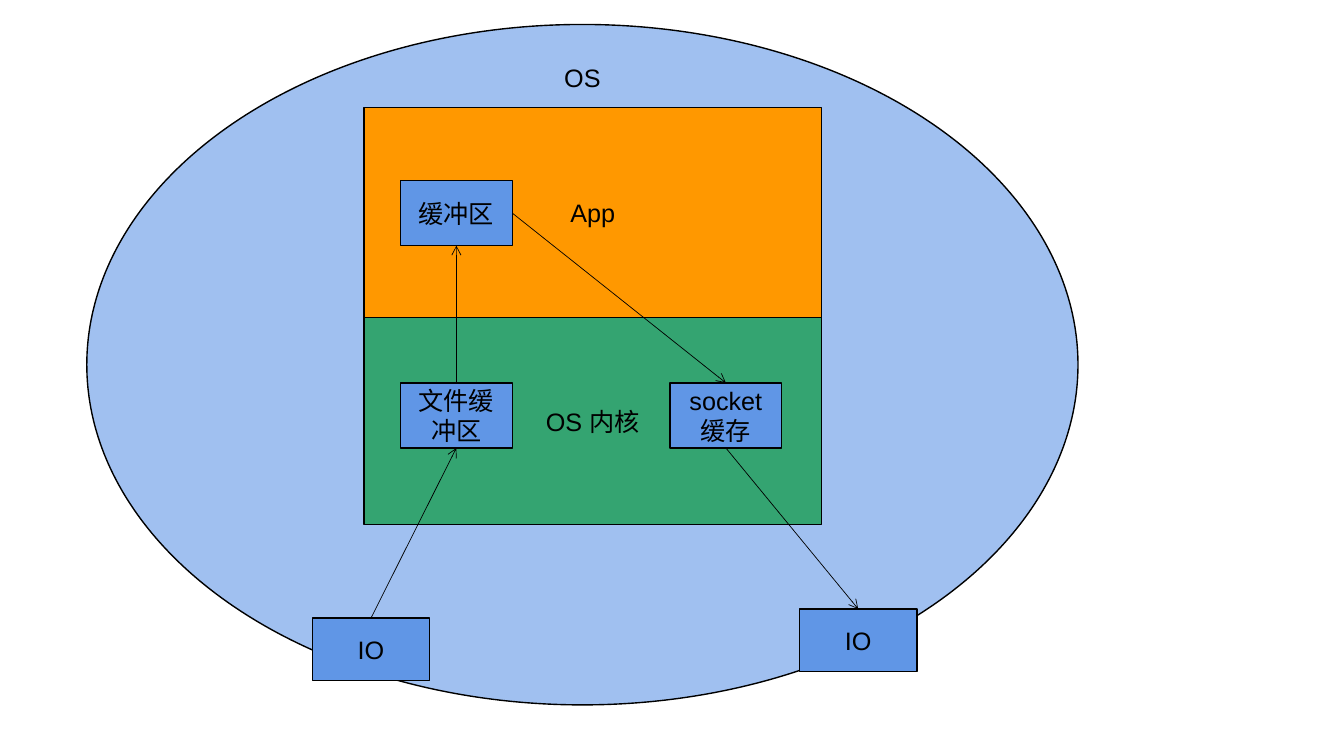
from pptx import Presentation
from pptx.dml.color import RGBColor
from pptx.enum.shapes import MSO_CONNECTOR, MSO_SHAPE
from pptx.enum.text import MSO_ANCHOR, PP_ALIGN
from pptx.oxml.ns import qn
from pptx.util import Pt
from lxml.etree import SubElement

SLIDE_W, SLIDE_H = 960, 540
FONT, TEXT_SIZE = "Arial", 18
BLACK, SKY, BLUE, ORANGE, GREEN = "000000", "A0C0F0", "6096E6", "FF9800", "34A471"

# Memory layers: (text, top, height, fill)
LAYER_LEFT, LAYER_W = 260, 327
LAYERS = [("App", 77, 150, ORANGE), ("OS 内核", 227, 147.5, GREEN)]

BUFFER_SIZE, IO_SIZE = (80, 46.5), (84, 44.5)
FILE_LEFT, SOCKET_LEFT, APP_TOP, KERNEL_TOP = 286, 478.5, 129, 273.5
# Nodes: key -> (text, left, top, size)
NODES = {
    "input": ("IO", 223, 441.5, IO_SIZE),
    "file": ("文件缓冲区", FILE_LEFT, KERNEL_TOP, BUFFER_SIZE),
    "app": ("缓冲区", FILE_LEFT, APP_TOP, BUFFER_SIZE),
    "socket": ("socket缓存", SOCKET_LEFT, KERNEL_TOP, BUFFER_SIZE),
    "output": ("IO", 571, 435, IO_SIZE),
}

# Connection sites of a rectangle
TOP, BOTTOM, RIGHT = 0, 2, 3
# Data flow: (from node, site, to node, site)
FLOW = [
    ("input", TOP, "file", BOTTOM),
    ("file", TOP, "app", BOTTOM),
    ("app", RIGHT, "socket", TOP),
    ("socket", BOTTOM, "output", TOP),
]


def color(hex_code):
    """Turn a hex string into a colour."""
    return RGBColor.from_string(hex_code)


def write(frame, text):
    """Put one centred line of text into a text frame."""
    frame.word_wrap = True
    frame.vertical_anchor = MSO_ANCHOR.MIDDLE
    paragraph = frame.paragraphs[0]
    paragraph.text = text
    paragraph.alignment = PP_ALIGN.CENTER
    paragraph.font.name = FONT
    paragraph.font.size = Pt(TEXT_SIZE)
    paragraph.font.color.rgb = color(BLACK)


def add_block(kind, left, top, width, height, fill, text=""):
    """Draw a filled, outlined shape with optional text."""
    block = slide.shapes.add_shape(kind, Pt(left), Pt(top), Pt(width), Pt(height))
    block.shadow.inherit = False
    block.fill.solid()
    block.fill.fore_color.rgb = color(fill)
    block.line.color.rgb = color(BLACK)
    block.line.width = Pt(1)
    if text:
        write(block.text_frame, text)
    return block


def add_arrow(source, source_site, target, target_site):
    """Join two blocks with a thin open-headed arrow."""
    arrow = slide.shapes.add_connector(MSO_CONNECTOR.STRAIGHT, 0, 0, 0, 0)
    arrow.begin_connect(source, source_site)
    arrow.end_connect(target, target_site)
    arrow.line.color.rgb = color(BLACK)
    arrow.line.width = Pt(0.5)
    SubElement(arrow.line._get_or_add_ln(), qn("a:tailEnd"), type="arrow")
    SubElement(arrow._element.spPr, qn("a:effectLst"))


prs = Presentation()
prs.slide_width, prs.slide_height = Pt(SLIDE_W), Pt(SLIDE_H)
slide = prs.slides.add_slide(prs.slide_layouts[6])

OS_LEFT, OS_W = 62, 708
add_block(MSO_SHAPE.OVAL, OS_LEFT, 17.5, OS_W, 486, SKY)
os_label = slide.shapes.add_textbox(Pt(OS_LEFT), Pt(40), Pt(OS_W), Pt(30))
write(os_label.text_frame, "OS")

for text, top, height, fill in LAYERS:
    add_block(MSO_SHAPE.RECTANGLE, LAYER_LEFT, top, LAYER_W, height, fill, text)

blocks = {
    key: add_block(MSO_SHAPE.RECTANGLE, left, top, *size, BLUE, text)
    for key, (text, left, top, size) in NODES.items()
}
for source, source_site, target, target_site in FLOW:
    add_arrow(blocks[source], source_site, blocks[target], target_site)

prs.save("out.pptx")
